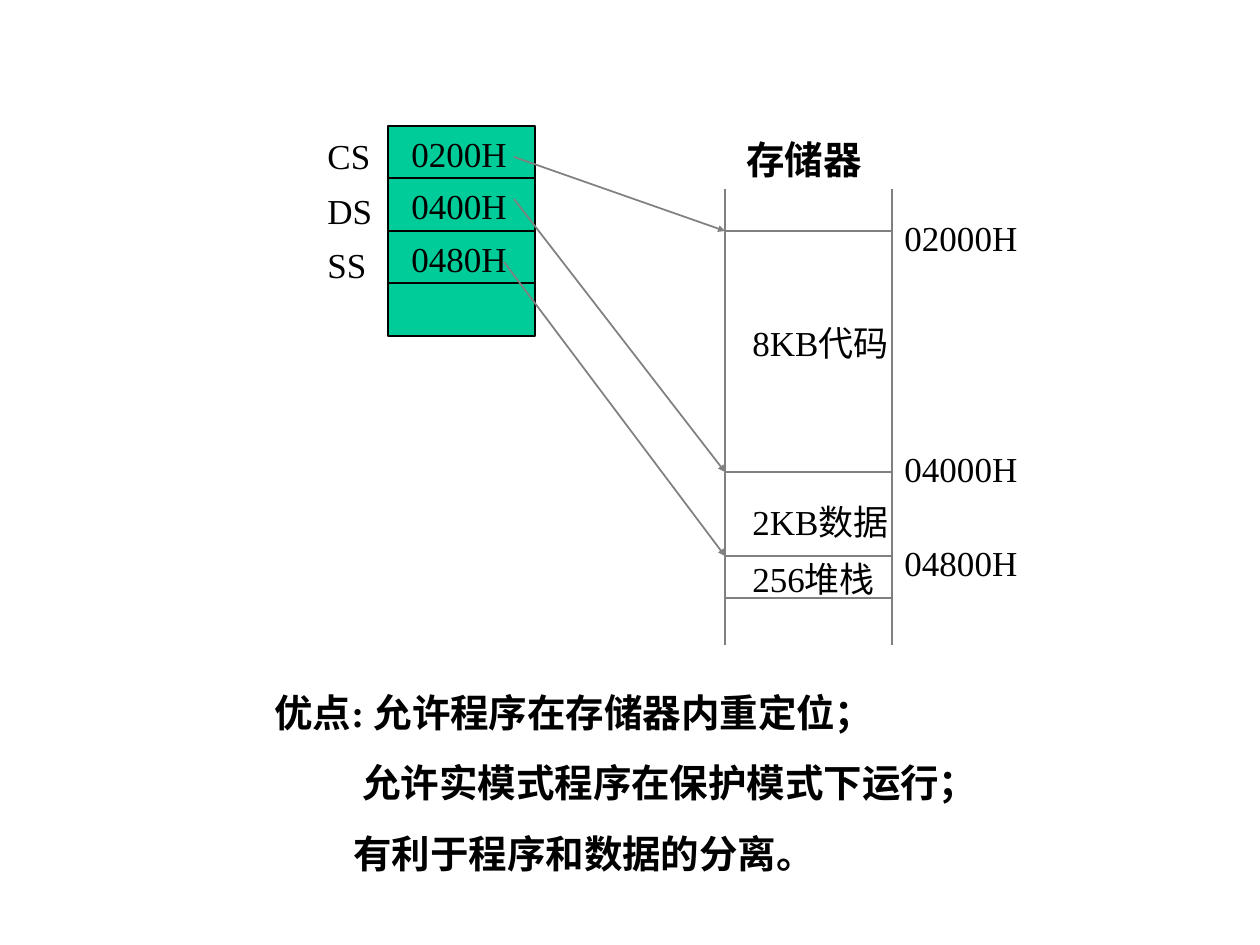
from lxml import etree
from pptx import Presentation
from pptx import util as u
from pptx.dml.color import RGBColor
from pptx.enum import shapes, text
from pptx.oxml.ns import qn

PX_PER_INCH = 126
FONT = "Times New Roman"
COLORS = {"ink": "000000", "rule": "808080", "register": "00CC99"}

MEMORY_LEFT, MEMORY_RIGHT = 725, 892
MEMORY_TOP, MEMORY_BOTTOM = 189, 645
CODE, DATA, STACK, STACK_END = 231, 472, 556, 598  # segment boundaries
REGISTER_LEFT, REGISTER_TOP, REGISTER_WIDTH = 388, 126, 147
LABEL_HEIGHT = 55


def px(length):
    return u.Emu(round(length * u.Inches(1) / PX_PER_INCH))


def color(name):
    return RGBColor.from_string(COLORS[name])


def add_line(page, start, end, arrow=False):
    line = page.shapes.add_connector(
        shapes.MSO_CONNECTOR.STRAIGHT, *map(px, (*start, *end)))
    line.line.color.rgb = color("rule")
    line.line.width = u.Pt(1)
    if arrow:
        outline = line._element.spPr.find(qn("a:ln"))
        etree.SubElement(outline, qn("a:tailEnd"),
                         type="triangle", w="sm", len="sm")
    etree.SubElement(line._element.spPr, qn("a:effectLst"))


def add_cell(page, left, top, width, height):
    cell = page.shapes.add_shape(
        shapes.MSO_SHAPE.RECTANGLE, *map(px, (left, top, width, height)))
    cell.shadow.inherit = False
    cell.fill.solid()
    cell.fill.fore_color.rgb = color("register")
    cell.line.color.rgb = color("ink")
    cell.line.width = u.Pt(1)


def add_text(page, area, lines, size=20, bold=False, wrap=False,
             before=12.5, spacing=None, indents=()):
    box = page.shapes.add_textbox(*map(px, area))
    frame = box.text_frame
    frame.word_wrap = wrap
    frame.auto_size = text.MSO_AUTO_SIZE.SHAPE_TO_FIT_TEXT
    for index, line in enumerate(lines):
        para = frame.paragraphs[0] if index == 0 else frame.add_paragraph()
        para.space_before = u.Pt(before)
        if spacing:
            para.line_spacing = spacing
        if indents:
            para._p.get_or_add_pPr().set("marL", str(px(indents[index])))
        span = para.add_run()
        span.text = line
        span.font.name = FONT
        span.font.size = u.Pt(size)
        span.font.bold = bold
        span.font.color.rgb = color("ink")


def add_memory(page):
    # Column sides, then segment boundaries
    for side in (MEMORY_LEFT, MEMORY_RIGHT):
        add_line(page, (side, MEMORY_TOP), (side, MEMORY_BOTTOM))
    for level in (CODE, DATA, STACK, STACK_END):
        add_line(page, (MEMORY_LEFT, level), (MEMORY_RIGHT, level))

    # Heading, segment contents and addresses
    add_text(page, (734, 130, 165, 59), ["存储器"], 22, True, True, 13.8)
    for label, top, width in (("8KB代码", 315, 170), ("2KB数据", 494, 170),
                              ("256堆栈", 551, 156)):
        add_text(page, (740, top, width, LABEL_HEIGHT), [label])
    for address, top in (("02000H", 210), ("04000H", 441), ("04800H", 535)):
        add_text(page, (MEMORY_RIGHT, top, 142, LABEL_HEIGHT), [address])


def add_registers(page):
    # Four equal cells, the last one empty
    tops = [REGISTER_TOP + 105 * row // 2 for row in range(4)]
    for top in tops:
        add_cell(page, REGISTER_LEFT, top, REGISTER_WIDTH, 53)
    for value, top in zip(("0200H", "0400H", "0480H"), tops):
        add_text(page, (399, top, 123, LABEL_HEIGHT), [value])

    # Arrows from register values to segment starts
    for start, level in (((514, 157), CODE), ((514, 199), DATA),
                         ((504, 262), STACK)):
        add_line(page, start, (MEMORY_LEFT, level), arrow=True)
    add_text(page, (315, 116, 84, 176), ["CS", "DS", "SS"],
             wrap=True, before=0, spacing=1.3)


def add_advantages(page):
    add_text(page, (262, 683, 788, 199),
             ["优点: 允许程序在存储器内重定位；",
              "允许实模式程序在保护模式下运行；",
              "有利于程序和数据的分离。"],
             22, True, True, 13.8, indents=(0, 88, 79))


def main():
    deck = Presentation()
    deck.slide_width, deck.slide_height = u.Inches(10), u.Inches(7.5)
    page = deck.slides.add_slide(deck.slide_layouts[6])
    add_memory(page)
    add_registers(page)
    add_advantages(page)
    deck.save("out.pptx")


if __name__ == "__main__":
    main()
